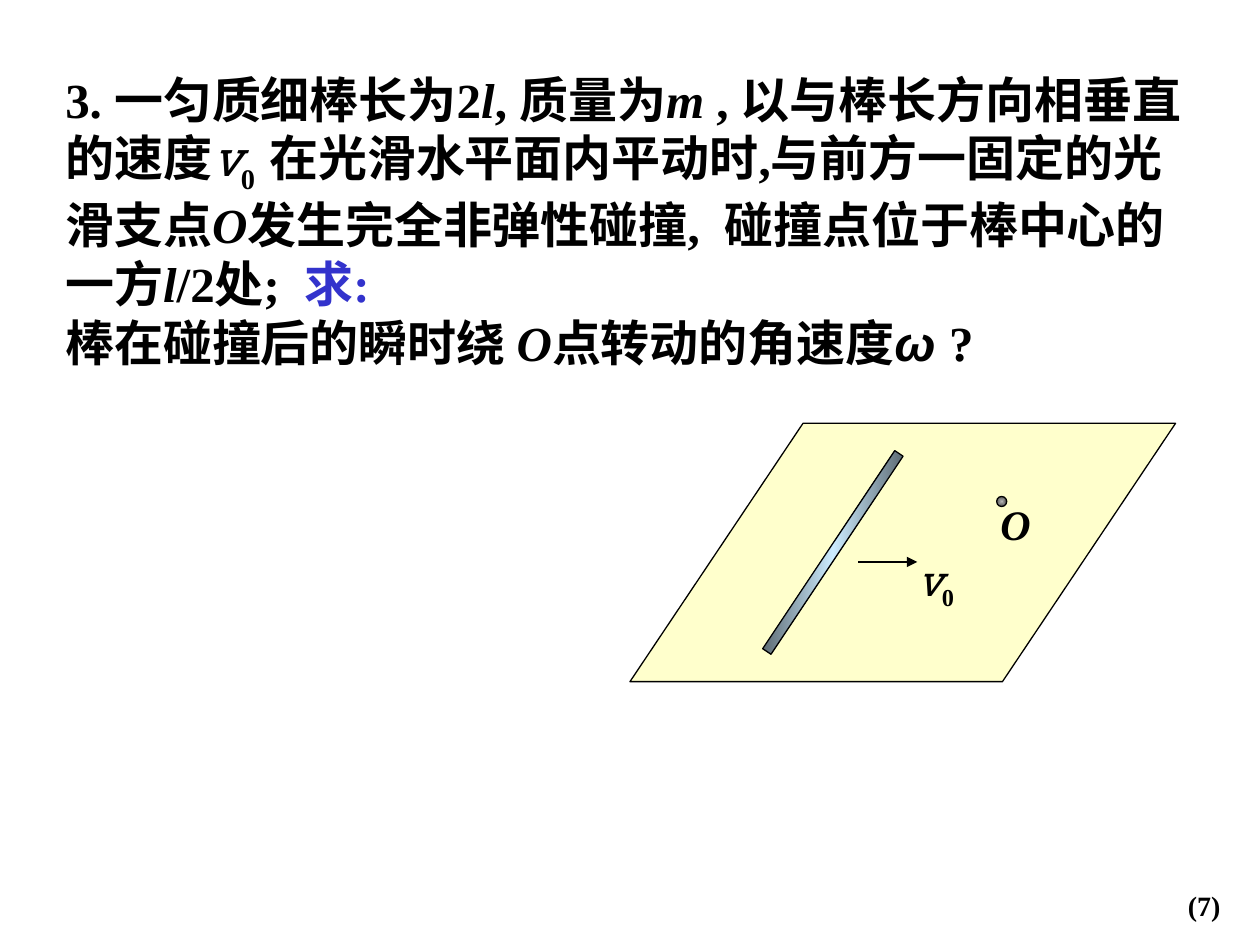
from dataclasses import dataclass

from lxml import etree
from pptx import Presentation
from pptx import util as u
from pptx.dml.color import RGBColor
from pptx.enum import shapes, text
from pptx.oxml import parse_xml
from pptx.oxml.ns import nsdecls, qn


@dataclass(frozen=True)
class Theme:
    """Colours, fonts and type sizes of the slide."""
    ink: str = "000000"
    accent: str = "3333CC"
    plane: str = "FFFFCC"
    pivot: tuple = ((0, "B2B2B2"), (100, "525252"))
    rod: tuple = ((0, "5E6C75"), (50, "CCECFF"), (100, "5E6C75"))
    serif: str = "Times New Roman"
    slab: str = "Roboto Slab"
    sans: str = "Arial"
    body: int = 28
    label: int = 24
    footer: int = 16
    line: float = 0.75


THEME = Theme()
CENTRE_SHADE = '<a:path path="rect"><a:fillToRect l="50000" t="50000" r="50000" b="50000"/></a:path>'
ROD_SHADE = '<a:lin ang="8760000" scaled="0"/>'


def styled(words, **style):
    """Pair a piece of text with its format."""
    return words, style


class SlideBuilder:
    """Draws styled elements on the current slide."""

    def __init__(self, page, theme):
        """Keep the slide and its theme."""
        self.page = page
        self.theme = theme

    def text(self, left, top, width, height, size, *paragraphs):
        """Add a text box holding paragraphs of styled pieces."""
        box = self.page.shapes.add_textbox(*map(u.Inches, (left, top, width, height)))
        frame = box.text_frame
        frame.word_wrap = True
        frame.auto_size = text.MSO_AUTO_SIZE.NONE
        for index, pieces in enumerate(paragraphs):
            para = frame.add_paragraph() if index else frame.paragraphs[0]
            for words, style in pieces:
                self.span(para, words, size, **style)

    def span(self, para, words, size, font=None, color=None, bold=True, italic=False, subscript=False):
        """Add one formatted run to a paragraph."""
        span = para.add_run()
        span.text = words
        span.font.name = font or self.theme.serif
        span.font.size = u.Pt(size)
        span.font.bold = bold
        span.font.italic = italic
        span.font.color.rgb = RGBColor.from_string(color or self.theme.ink)
        if subscript:
            span.font._element.set("baseline", "-25000")

    def shape(self, kind, left, top, width, height, fill=None, rotation=0):
        """Add an outlined preset shape."""
        shape = self.page.shapes.add_shape(kind, *map(u.Inches, (left, top, width, height)))
        shape.shadow.inherit = False
        shape.rotation = rotation
        self.outline(shape)
        if fill:
            shape.fill.solid()
            shape.fill.fore_color.rgb = RGBColor.from_string(fill)
        return shape

    def shaded(self, kind, left, top, width, height, stops, shade, rotation=0):
        """Add an outlined shape with a gradient fill."""
        shape = self.shape(kind, left, top, width, height, rotation=rotation)
        marks = "".join(
            f'<a:gs pos="{place * 1000}"><a:srgbClr val="{color}"/></a:gs>' for place, color in stops)
        gradient = parse_xml(
            f'<a:gradFill {nsdecls("a")} rotWithShape="1"><a:gsLst>{marks}</a:gsLst>{shade}</a:gradFill>')
        shape._element.spPr.find(qn("a:prstGeom")).addnext(gradient)

    def arrow(self, left, top, right, bottom):
        """Add a straight arrow."""
        arrow = self.page.shapes.add_connector(
            shapes.MSO_CONNECTOR.STRAIGHT, *map(u.Inches, (left, top, right, bottom)))
        self.outline(arrow)
        etree.SubElement(arrow.line._get_or_add_ln(), qn("a:tailEnd"), type="triangle")
        etree.SubElement(arrow._element.spPr, qn("a:effectLst"))

    def outline(self, item):
        """Give a shape or connector the thin ink line."""
        item.line.color.rgb = RGBColor.from_string(self.theme.ink)
        item.line.width = u.Pt(self.theme.line)


def draw_problem(builder):
    """Write the problem statement and page number."""
    theme = builder.theme
    length = styled("l", italic=True)
    pivot = styled("O", italic=True)
    statement = [
        styled("3. 一匀质细棒长为2"), length, styled(", 质量为"), styled("m", italic=True),
        styled(" , 以与棒长方向相垂直的速度"),
        styled("v", font=theme.slab, bold=False, italic=True), styled("0  ", subscript=True),
        styled("在光滑水平面内平动时,与前方一固定的光滑支点"), pivot,
        styled("发生完全非弹性碰撞,  碰撞点位于棒中心的一方"), length,
        styled("/2处;  "), styled("求:", color=theme.accent),
    ]
    question = [
        styled("棒在碰撞后的瞬时绕 "), pivot, styled("点转动的角速度"),
        styled("ω ", font=theme.sans, italic=True), styled("?"),
    ]
    builder.text(0.42, 0.5, 9.23, 2.5, theme.body, statement, question)
    builder.text(9.33, 7, 0.67, 0.37, theme.footer, [styled("(7)")])


def draw_diagram(builder):
    """Draw the rod moving towards the pivot on the plane."""
    theme = builder.theme
    kinds = shapes.MSO_SHAPE
    plane = builder.shape(kinds.PARALLELOGRAM, 5, 3.36, 4.33, 2.05, fill=theme.plane)
    plane.adjustments[0] = 0.67
    builder.shaded(kinds.OVAL, 7.91, 3.94, 0.08, 0.08, theme.pivot, CENTRE_SHADE)
    builder.text(7.84, 3.91, 0.81, 0.5, theme.label, [styled("O", italic=True)])
    builder.shaded(kinds.RECTANGLE, 6.57, 3.44, 0.08, 1.89, theme.rod, ROD_SHADE, rotation=33.7)
    builder.arrow(6.81, 4.46, 7.28, 4.46)
    builder.text(7.18, 4.35, 0.65, 0.56, theme.label, [
        styled("v", font=theme.slab, bold=False, italic=True), styled("0", subscript=True)])


def main():
    """Build and save the one-slide deck."""
    deck = Presentation()
    deck.slide_width, deck.slide_height = u.Inches(10), u.Inches(7.5)
    builder = SlideBuilder(deck.slides.add_slide(deck.slide_layouts[6]), THEME)
    draw_problem(builder)
    draw_diagram(builder)
    deck.save("out.pptx")


if __name__ == "__main__":
    main()
